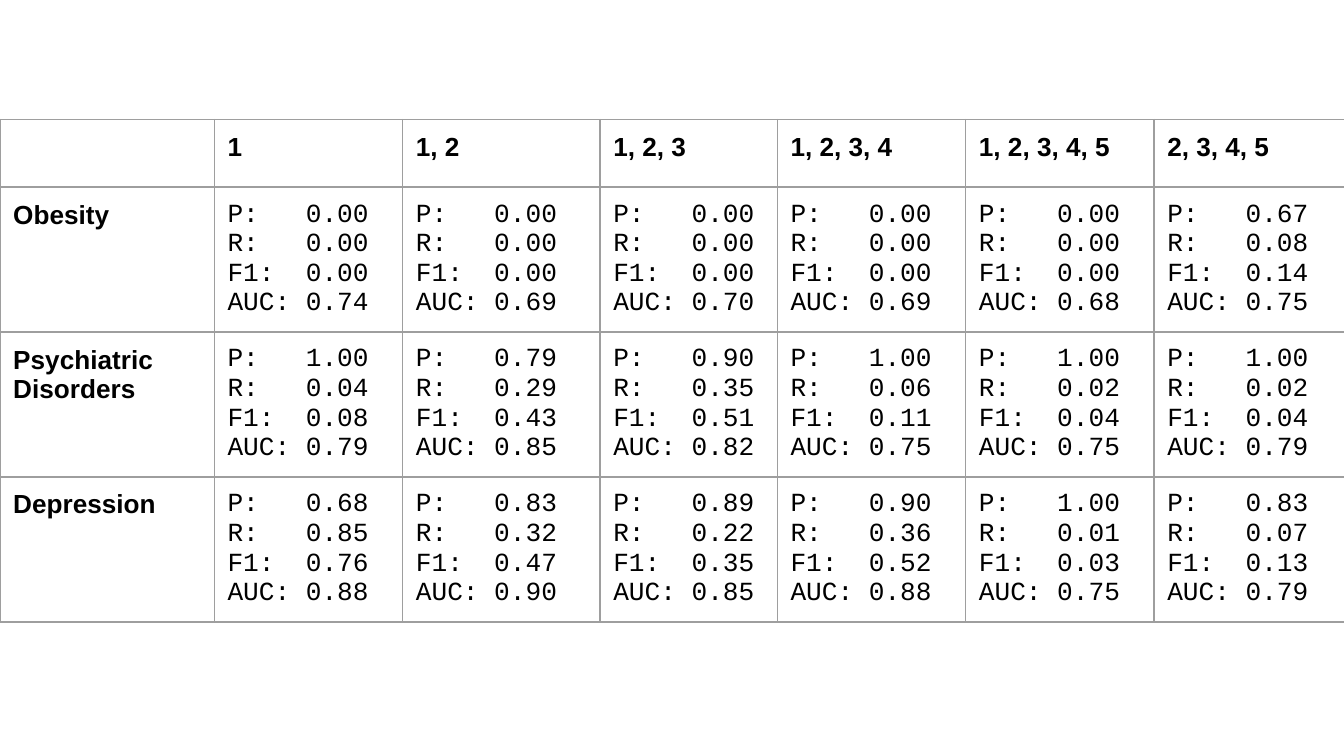
from dataclasses import dataclass

from lxml import etree
from pptx import Presentation
from pptx import util as u
from pptx.dml.color import RGBColor
from pptx.oxml import ns


@dataclass(frozen=True)
class Theme:
    ink: RGBColor = RGBColor(0, 0, 0)
    rule: str = "9E9E9E"
    line: u.Pt = u.Pt(0.75)
    size: u.Pt = u.Pt(14)
    head: str = "Arial"
    mono: str = "Courier New"
    pad: u.Cm = u.Cm(0.25)
    tab: u.Cm = u.Cm(1.48)


THEME = Theme()
WIDTHS = [4.05, 3.56, 3.73, 3.35, 3.56, 3.56, 3.61]
HEIGHTS = [1.22, 2.74, 2.74, 2.74]
GROUPS = ["1", "1, 2", "1, 2, 3", "1, 2, 3, 4", "1, 2, 3, 4, 5", "2, 3, 4, 5"]
METRICS = ["P", "R", "F1", "AUC"]
# Per condition: one row per metric, one value per group
SCORES = {
    "Obesity": [
        "0.00 0.00 0.00 0.00 0.00 0.67",
        "0.00 0.00 0.00 0.00 0.00 0.08",
        "0.00 0.00 0.00 0.00 0.00 0.14",
        "0.74 0.69 0.70 0.69 0.68 0.75",
    ],
    "Psychiatric Disorders": [
        "1.00 0.79 0.90 1.00 1.00 1.00",
        "0.04 0.29 0.35 0.06 0.02 0.02",
        "0.08 0.43 0.51 0.11 0.04 0.04",
        "0.79 0.85 0.82 0.75 0.75 0.79",
    ],
    "Depression": [
        "0.68 0.83 0.89 0.90 1.00 0.83",
        "0.85 0.32 0.22 0.36 0.01 0.07",
        "0.76 0.47 0.35 0.52 0.03 0.13",
        "0.88 0.90 0.85 0.88 0.75 0.79",
    ],
}


def add_node(parent, tag, **attrs):
    values = {key: str(value) for key, value in attrs.items()}
    return etree.SubElement(parent, ns.qn(tag), values)


def frame_cell(cell):
    """Give the cell its padding, its four borders and no fill."""
    cell.margin_left = cell.margin_right = THEME.pad
    cell.margin_top = cell.margin_bottom = THEME.pad
    props = cell._tc.get_or_add_tcPr()
    for side in "LRTB":
        line = add_node(props, f"a:ln{side}", w=int(THEME.line))
        add_node(add_node(line, "a:solidFill"), "a:srgbClr", val=THEME.rule)
    cell.fill.background()


def style_text(cell, face, bold):
    for para in cell.text_frame.paragraphs:
        for run in para.runs:
            font = run.font
            font.name, font.size, font.bold = face, THEME.size, bold
            font.color.rgb = THEME.ink


def write_label(cell, label):
    cell.text_frame.text = label
    style_text(cell, THEME.head, True)


def write_scores(cell, values):
    """List the metrics, with their values lined up on a tab stop."""
    pairs = zip(METRICS, values)
    cell.text_frame.text = "\n".join(f"{name}:\t{val}" for name, val in pairs)
    style_text(cell, THEME.mono, False)
    for para in cell.text_frame.paragraphs:
        stops = add_node(para._p.get_or_add_pPr(), "a:tabLst")
        add_node(stops, "a:tab", pos=int(THEME.tab), algn="l")


def add_grid(slide):
    shape = slide.shapes.add_table(
        len(HEIGHTS), len(WIDTHS), u.Cm(0), u.Cm(2.26),
        u.Cm(sum(WIDTHS)), u.Cm(sum(HEIGHTS)))
    table = shape.table
    table.first_row = table.horz_banding = False
    for col, width in zip(table.columns, WIDTHS):
        col.width = u.Cm(width)
    for row, height in zip(table.rows, HEIGHTS):
        row.height = u.Cm(height)
    for cell in table.iter_cells():
        frame_cell(cell)
    return table


def fill_grid(table):
    for col, group in enumerate(GROUPS, 1):
        write_label(table.cell(0, col), group)
    for row, (name, lines) in enumerate(SCORES.items(), 1):
        write_label(table.cell(row, 0), name)
        groups = zip(*(line.split() for line in lines))
        for col, values in enumerate(groups, 1):
            write_scores(table.cell(row, col), values)


def main():
    deck = Presentation()
    deck.slide_width, deck.slide_height = u.Cm(25.4), u.Cm(14.29)
    slide = deck.slides.add_slide(deck.slide_layouts[6])
    fill_grid(add_grid(slide))
    deck.save("out.pptx")


if __name__ == "__main__":
    main()
